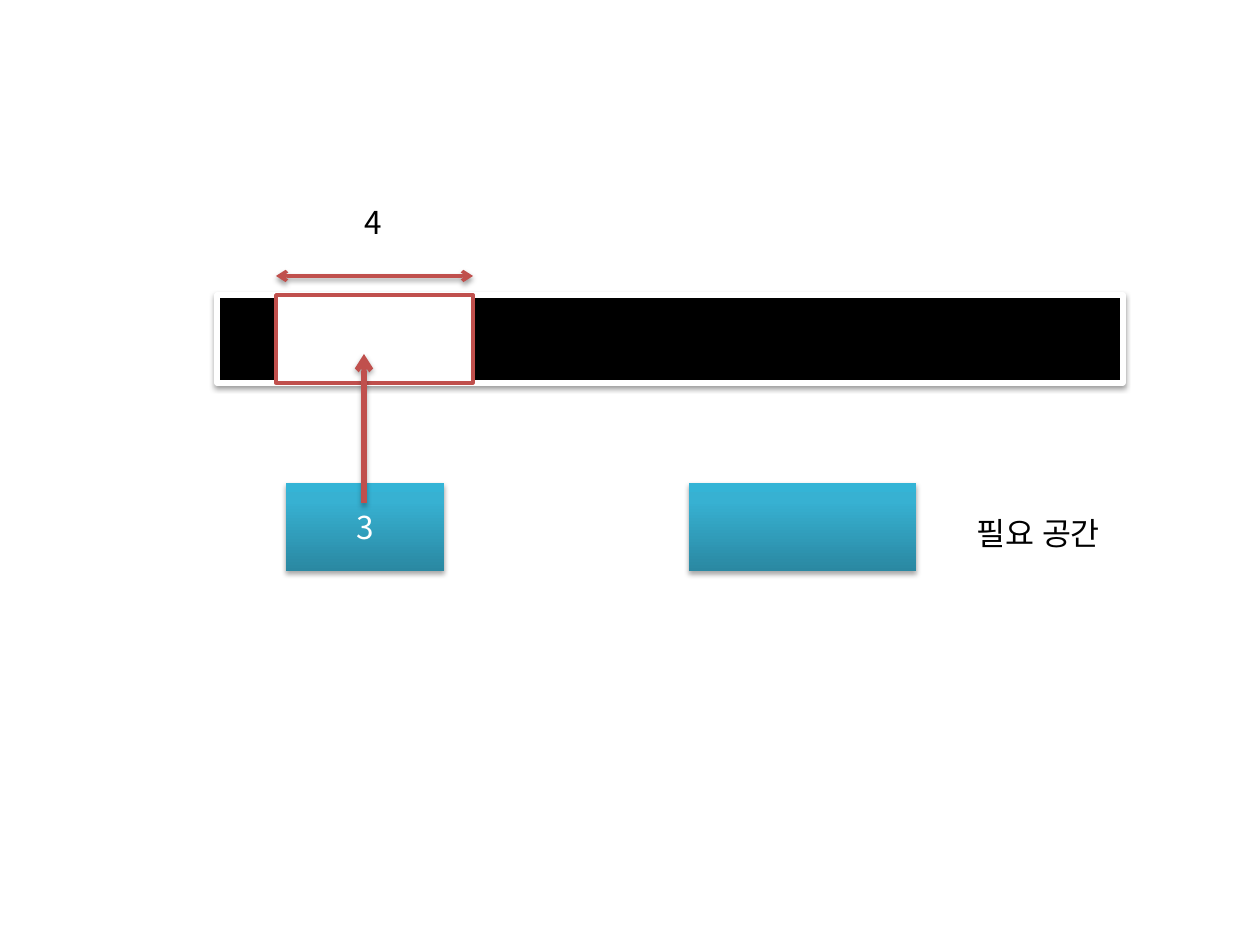
from dataclasses import dataclass
from typing import Optional

import pptx
import pptx.dml.color
import pptx.enum.shapes
import pptx.enum.text
import pptx.oxml
import pptx.oxml.ns
import pptx.util

EMU_PER_PX = 914400 / 126
qn = pptx.oxml.ns.qn


@dataclass(frozen=True)
class Shadow:
    opacity: int
    distance: float
    blur: float = 3.1


@dataclass(frozen=True)
class Theme:
    black: str = "000000"
    white: str = "FFFFFF"
    red: str = "C0504D"
    teal: tuple = ((0, "2A88A2"), (80, "37B1D2"), (100, "34B4D6"))
    font: str = "Noto Sans CJK KR"
    text_size: int = 18
    soft: Shadow = Shadow(38, 1.6)
    deep: Shadow = Shadow(35, 1.8)


THEME = Theme()


@dataclass(frozen=True)
class Box:
    left: int
    top: int
    width: int
    height: int
    fill: Optional[str] = None  # None gives the teal gradient
    line: Optional[str] = None
    line_width: int = 2
    shadow: Optional[Shadow] = None
    text: str = ""
    text_color: str = THEME.black


@dataclass(frozen=True)
class Arrow:
    start: tuple[int, int]
    end: tuple[int, int]
    width: int
    shadow: Shadow
    both_ends: bool = False


MEMORY = Box(217, 295, 906, 88, THEME.black, THEME.white, 3, THEME.soft)
FREE_SPACE = Box(276, 295, 197, 88, THEME.white, THEME.red)
LEGEND_SWATCH = Box(689, 483, 227, 88, shadow=THEME.deep)
LEGEND_LABEL = Box(925, 493, 227, 79, THEME.white, THEME.white, text="필요 공간")
FREE_SIZE = Box(280, 178, 186, 88, THEME.white, THEME.white, text="4")
FREE_SPAN = Arrow((276, 276), (473, 276), 2, THEME.soft, both_ends=True)
REQUEST = Box(286, 483, 158, 88, shadow=THEME.deep, text="3", text_color=THEME.white)
ALLOCATION = Arrow((364, 503), (364, 354), 3, THEME.deep)

# Back to front
ELEMENTS = (MEMORY, FREE_SPACE, LEGEND_SWATCH, LEGEND_LABEL, FREE_SIZE,
            FREE_SPAN, REQUEST, ALLOCATION)


def px(length: int) -> int:
    return round(length * EMU_PER_PX)


def rgb(value: str) -> pptx.dml.color.RGBColor:
    return pptx.dml.color.RGBColor.from_string(value)


def set_shadow(properties, shadow: Optional[Shadow]) -> None:
    """Replace the theme's effects with one downward shadow, or with none."""
    for old in properties.findall(qn("a:effectLst")):
        properties.remove(old)
    effects = pptx.oxml.parse_xml(f"<a:effectLst {pptx.oxml.ns.nsdecls('a')}/>")
    properties.append(effects)
    if shadow:
        effects.append(pptx.oxml.parse_xml(
            f"<a:outerShdw {pptx.oxml.ns.nsdecls('a')} dir='5400000' rotWithShape='0' "
            f"blurRad='{pptx.util.Pt(shadow.blur)}' dist='{pptx.util.Pt(shadow.distance)}'>"
            f"<a:srgbClr val='{THEME.black}'><a:alpha val='{shadow.opacity * 1000}'/>"
            "</a:srgbClr></a:outerShdw>"))


def fill_teal(shape) -> None:
    shape.fill.gradient()
    shape.fill.gradient_angle = 90
    stops = shape._element.spPr.find(qn("a:gradFill")).find(qn("a:gsLst"))
    for old in list(stops):
        stops.remove(old)
    for percent, color in THEME.teal:
        stops.append(pptx.oxml.parse_xml(
            f"<a:gs {pptx.oxml.ns.nsdecls('a')} pos='{percent * 1000}'>"
            f"<a:srgbClr val='{color}'/></a:gs>"))


def write_text(shape, box: Box) -> None:
    frame = shape.text_frame
    frame.vertical_anchor = pptx.enum.text.MSO_ANCHOR.MIDDLE
    paragraph = frame.paragraphs[0]
    paragraph.alignment = pptx.enum.text.PP_ALIGN.CENTER
    run = paragraph.add_run()
    run.text = box.text
    run.font.size = pptx.util.Pt(THEME.text_size)
    run.font.name = THEME.font
    run.font.color.rgb = rgb(box.text_color)
    east_asian = pptx.oxml.parse_xml(
        f"<a:ea {pptx.oxml.ns.nsdecls('a')} typeface='{THEME.font}'/>")
    run.font._element.find(qn("a:latin")).addnext(east_asian)


def draw_box(slide, box: Box) -> None:
    shape = slide.shapes.add_shape(
        pptx.enum.shapes.MSO_SHAPE.RECTANGLE,
        px(box.left), px(box.top), px(box.width), px(box.height))
    if box.fill:
        shape.fill.solid()
        shape.fill.fore_color.rgb = rgb(box.fill)
    else:
        fill_teal(shape)
    if box.line:
        shape.line.color.rgb = rgb(box.line)
        shape.line.width = pptx.util.Pt(box.line_width)
    else:
        shape.line.fill.background()
    shape.shadow.inherit = False
    set_shadow(shape._element.spPr, box.shadow)
    if box.text:
        write_text(shape, box)


def draw_arrow(slide, arrow: Arrow) -> None:
    connector = slide.shapes.add_connector(
        pptx.enum.shapes.MSO_CONNECTOR.STRAIGHT,
        *map(px, arrow.start + arrow.end))
    connector.line.color.rgb = rgb(THEME.red)
    connector.line.width = pptx.util.Pt(arrow.width)
    properties = connector._element.spPr
    for end in ("headEnd", "tailEnd") if arrow.both_ends else ("tailEnd",):
        properties.find(qn("a:ln")).append(pptx.oxml.parse_xml(
            f"<a:{end} {pptx.oxml.ns.nsdecls('a')} type='arrow'/>"))
    set_shadow(properties, arrow.shadow)


def main() -> None:
    presentation = pptx.Presentation()
    presentation.slide_width = px(1260)
    presentation.slide_height = px(945)
    slide = presentation.slides.add_slide(presentation.slide_layouts[6])
    for element in ELEMENTS:
        if isinstance(element, Box):
            draw_box(slide, element)
        else:
            draw_arrow(slide, element)
    presentation.save("out.pptx")


if __name__ == "__main__":
    main()
